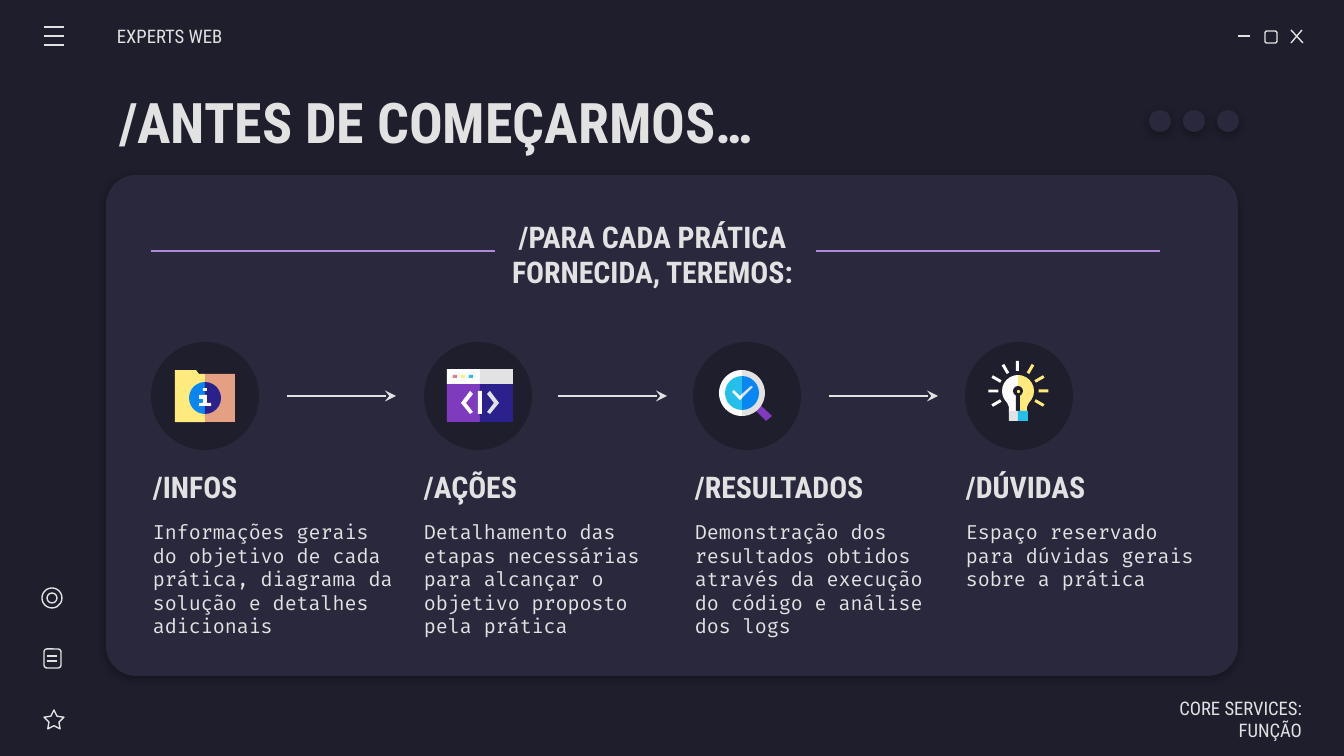
from dataclasses import dataclass
from math import cos, radians, sin

from pptx import Presentation
from pptx.dml.color import RGBColor
from pptx.enum.shapes import MSO_CONNECTOR, MSO_SHAPE as Preset
from pptx.enum.text import MSO_ANCHOR as Anchor, MSO_AUTO_SIZE as AutoSize, PP_ALIGN as Align
from pptx.oxml.ns import qn
from pptx.util import Pt
from lxml.etree import SubElement

WIDTH, HEIGHT = 1344, 756
SCALE = 9144000 / WIDTH
INSET = 13
PITCH = 271
ARROW_Y = 396


@dataclass(frozen=True)
class Theme:
    back: str = "1E1E2C"
    panel: str = "29283D"
    ink: str = "E2E2E2"
    rule: str = "B288DA"
    white: str = "FFFFFF"
    yellow: str = "FFEA7D"
    peach: str = "E5A083"
    navy: str = "2B218D"
    blue: str = "0887F2"
    cyan: str = "24BFEB"
    purple: str = "7E3BBE"
    pink: str = "E07A88"
    display: str = "Roboto Condensed"
    mono: str = "Fira Code"
    title: float = 30
    heading: float = 16
    body: float = 10.5
    label: float = 10
    stroke: float = 0.75


THEME = Theme()


@dataclass(frozen=True)
class Box:
    left: int
    top: int
    width: int
    height: int

    def emu(self) -> list[int]:
        return [px(n) for n in (self.left, self.top, self.width, self.height)]


@dataclass(frozen=True)
class Style:
    size: float
    font: str = THEME.display
    bold: bool = False
    align: Align = Align.LEFT
    anchor: Anchor = Anchor.MIDDLE
    left_inset: int = INSET
    right_inset: int = INSET


@dataclass(frozen=True)
class Step:
    heading: str
    detail: str
    disc_left: int


HEADING = Style(THEME.heading, bold=True)
DETAIL = Style(THEME.body, THEME.mono, anchor=Anchor.TOP)
STEPS = [
    Step("/INFOS", "Informações gerais do objetivo de cada prática, diagrama da solução e detalhes adicionais", 151),
    Step("/AÇÕES", "Detalhamento das etapas necessárias para alcançar o objetivo proposto pela prática", 424),
    Step("/RESULTADOS", "Demonstração dos resultados obtidos através da execução do código e análise dos logs", 693),
    Step("/DÚVIDAS", "Espaço reservado para dúvidas gerais sobre a prática", 965),
]


def px(length: int) -> int:
    return round(length * SCALE)


def paint(shape, fill: str | None, line: str | None = None) -> None:
    shape.shadow.inherit = False
    if fill:
        shape.fill.solid()
        shape.fill.fore_color.rgb = RGBColor.from_string(fill)
    else:
        shape.fill.background()
    if line:
        shape.line.color.rgb = RGBColor.from_string(line)
        shape.line.width = Pt(THEME.stroke)
    else:
        shape.line.fill.background()


def draw(page, preset: Preset, box: Box, fill: str | None, line: str | None = None, adjust: tuple = ()):
    shape = page.shapes.add_shape(preset, *box.emu())
    for index, value in enumerate(adjust):
        shape.adjustments[index] = value
    paint(shape, fill, line)
    return shape


def block(page, fill: str, left: int, top: int, width: int, height: int):
    return draw(page, Preset.RECTANGLE, Box(left, top, width, height), fill)


def split_disc(page, box: Box, left_fill: str, right_fill: str) -> None:
    draw(page, Preset.PIE, box, left_fill, adjust=(54, 162))
    draw(page, Preset.PIE, box, right_fill, adjust=(162, 54))


def outline(page, fill: str, points: list[tuple[int, int]]) -> None:
    builder = page.shapes.build_freeform(*points[0], scale=SCALE)
    builder.add_line_segments(points[1:], close=True)
    paint(builder.convert_to_shape(), fill)


def mirror(points: list[tuple[int, int]], axis: int) -> list[tuple[int, int]]:
    return [(2 * axis - x, y) for x, y in points]


def cast_shadow(shape) -> None:
    effects = shape._element.spPr.find(qn("a:effectLst"))
    shadow = SubElement(effects, qn("a:outerShdw"), blurRad="57150", dist="19050", dir="5400000",
                        algn="bl", rotWithShape="0")
    color = SubElement(shadow, qn("a:srgbClr"), val="000000")
    SubElement(color, qn("a:alpha"), val="30000")


def connect(page, x1: int, y1: int, x2: int, y2: int, color: str = THEME.ink, arrow: bool = False) -> None:
    line = page.shapes.add_connector(MSO_CONNECTOR.STRAIGHT, px(x1), px(y1), px(x2), px(y2))
    line.line.color.rgb = RGBColor.from_string(color)
    line.line.width = Pt(THEME.stroke)
    if arrow:
        SubElement(line.line._get_or_add_ln(), qn("a:tailEnd"), type="stealth")
    SubElement(line._element.spPr, qn("a:effectLst"))


def write(shape, box: Box, text: str, style: Style) -> None:
    shape.left, shape.top, shape.width, shape.height = box.emu()
    frame = shape.text_frame
    frame.word_wrap = True
    frame.auto_size = AutoSize.NONE
    frame.vertical_anchor = style.anchor
    frame.margin_left, frame.margin_right = px(style.left_inset), px(style.right_inset)
    frame.margin_top = frame.margin_bottom = px(INSET)
    frame.text = text
    para = frame.paragraphs[0]
    para.alignment = style.align
    para.space_before = Pt(0)
    para.font.name, para.font.size, para.font.bold = style.font, Pt(style.size), style.bold
    para.font.color.rgb = RGBColor.from_string(THEME.ink)


def label(page, box: Box, text: str, style: Style) -> None:
    write(page.shapes.add_textbox(*box.emu()), box, text, style)


def folder_icon(page) -> None:
    block(page, THEME.peach, 205, 374, 30, 48)
    outline(page, THEME.yellow, [(175, 370), (196, 370), (199, 374), (205, 374), (205, 422), (175, 422)])
    split_disc(page, Box(189, 382, 32, 32), THEME.blue, THEME.navy)
    outline(page, THEME.white, [(199, 395), (207, 395), (207, 403), (211, 403), (211, 406),
                                (199, 406), (199, 403), (203, 403), (203, 399), (199, 399)])
    block(page, THEME.white, 203, 388, 4, 3)


def code_icon(page) -> None:
    for left, bar, body in ((447, THEME.white, THEME.purple), (480, THEME.ink, THEME.navy)):
        block(page, body, left, 384, 33, 38)
        block(page, bar, left, 369, 33, 15)
    for index, color in enumerate((THEME.pink, THEME.yellow, THEME.cyan)):
        block(page, color, 453 + 8 * index, 375, 4, 3)
    chevron = [(470, 391), (461, 403), (470, 414), (473, 412), (466, 403), (473, 394)]
    outline(page, THEME.white, chevron)
    outline(page, THEME.ink, mirror(chevron, 480))
    block(page, THEME.white, 478, 391, 4, 23)


def magnifier_icon(page) -> None:
    outline(page, THEME.purple, [(757, 402), (751, 406), (766, 421), (772, 416)])
    split_disc(page, Box(719, 370, 46, 46), THEME.white, THEME.ink)
    split_disc(page, Box(725, 376, 34, 34), THEME.cyan, THEME.blue)
    outline(page, THEME.ink, [(751, 386), (742, 394), (742, 398), (753, 387)])
    outline(page, THEME.white, [(734, 390), (732, 392), (740, 400), (742, 398), (742, 394), (740, 396)])


def bulb_icon(page) -> None:
    split_disc(page, Box(1002, 375, 32, 32), THEME.white, THEME.yellow)
    neck = [(1006, 400), (1009, 407), (1009, 412), (1018, 412), (1018, 400)]
    outline(page, THEME.white, neck)
    outline(page, THEME.yellow, mirror(neck, 1018))
    for angle in range(-120, 121, 30):
        x, y = 1018 + 25 * sin(radians(angle)), 391 - 25 * cos(radians(angle))
        ray = block(page, THEME.yellow if angle > 0 else THEME.white, round(x - 1.5), round(y - 5), 3, 10)
        ray.rotation = angle
    block(page, THEME.back, 1016, 394, 4, 18)
    draw(page, Preset.OVAL, Box(1013, 386, 10, 10), THEME.back)
    draw(page, Preset.OVAL, Box(1017, 390, 3, 3), THEME.yellow)
    block(page, THEME.ink, 1009, 411, 9, 10)
    block(page, THEME.cyan, 1018, 411, 10, 10)


def window_frame(page) -> None:
    connect(page, 1238, 36, 1250, 36)
    draw(page, Preset.ROUNDED_RECTANGLE, Box(1265, 31, 12, 12), None, THEME.ink)
    connect(page, 1291, 30, 1303, 43)
    connect(page, 1302, 30, 1291, 43)
    for index in range(3):
        connect(page, 44, 27 + 9 * index, 64, 27 + 9 * index)
    draw(page, Preset.STAR_5_POINT, Box(44, 710, 20, 19), None, THEME.ink, (0.25,))
    draw(page, Preset.ROUNDED_RECTANGLE, Box(44, 649, 17, 19), None, THEME.ink)
    for y in (656, 661):
        connect(page, 47, y, 57, y)
    for box in (Box(42, 588, 20, 20), Box(47, 593, 10, 10)):
        draw(page, Preset.OVAL, box, None, THEME.ink)


def main() -> None:
    deck = Presentation()
    deck.slide_width, deck.slide_height = px(WIDTH), px(HEIGHT)
    page = deck.slides.add_slide(deck.slide_layouts[0])
    page.background.fill.solid()
    page.background.fill.fore_color.rgb = RGBColor.from_string(THEME.back)
    window_frame(page)
    cast_shadow(draw(page, Preset.ROUNDED_RECTANGLE, Box(106, 175, 1132, 501), THEME.panel, adjust=(0.06,)))
    for index in range(3):
        cast_shadow(draw(page, Preset.OVAL, Box(1149 + 34 * index, 110, 22, 22), THEME.panel))
    write(page.shapes.title, Box(106, 79, 1066, 85), "/ANTES DE COMEÇARMOS…", Style(THEME.title, bold=True))
    write(page.placeholders[1], Box(117, 16, 157, 40), "EXPERTS WEB", Style(THEME.label, left_inset=0))
    label(page, Box(445, 198, 415, 112), "/PARA CADA PRÁTICA FORNECIDA, TEREMOS:",
          Style(THEME.heading, bold=True, align=Align.CENTER))
    for left in (151, 816):
        connect(page, left, 251, left + 344, 251, THEME.rule)
    for index, step in enumerate(STEPS):
        offset = PITCH * index
        draw(page, Preset.OVAL, Box(step.disc_left, 342, 108, 108), THEME.back)
        label(page, Box(140 + offset, 453, PITCH, 67), step.heading, HEADING)
        label(page, Box(140 + offset, 507, PITCH, 145), step.detail, DETAIL)
        if index < len(STEPS) - 1:
            connect(page, 287 + offset, ARROW_Y, 396 + offset, ARROW_Y, arrow=True)
    for icon in (folder_icon, code_icon, magnifier_icon, bulb_icon):
        icon(page)
    label(page, Box(1113, 699, 189, 40), "CORE SERVICES: FUNÇÃO",
          Style(THEME.label, align=Align.RIGHT, right_inset=0))
    deck.save("out.pptx")


if __name__ == "__main__":
    main()
